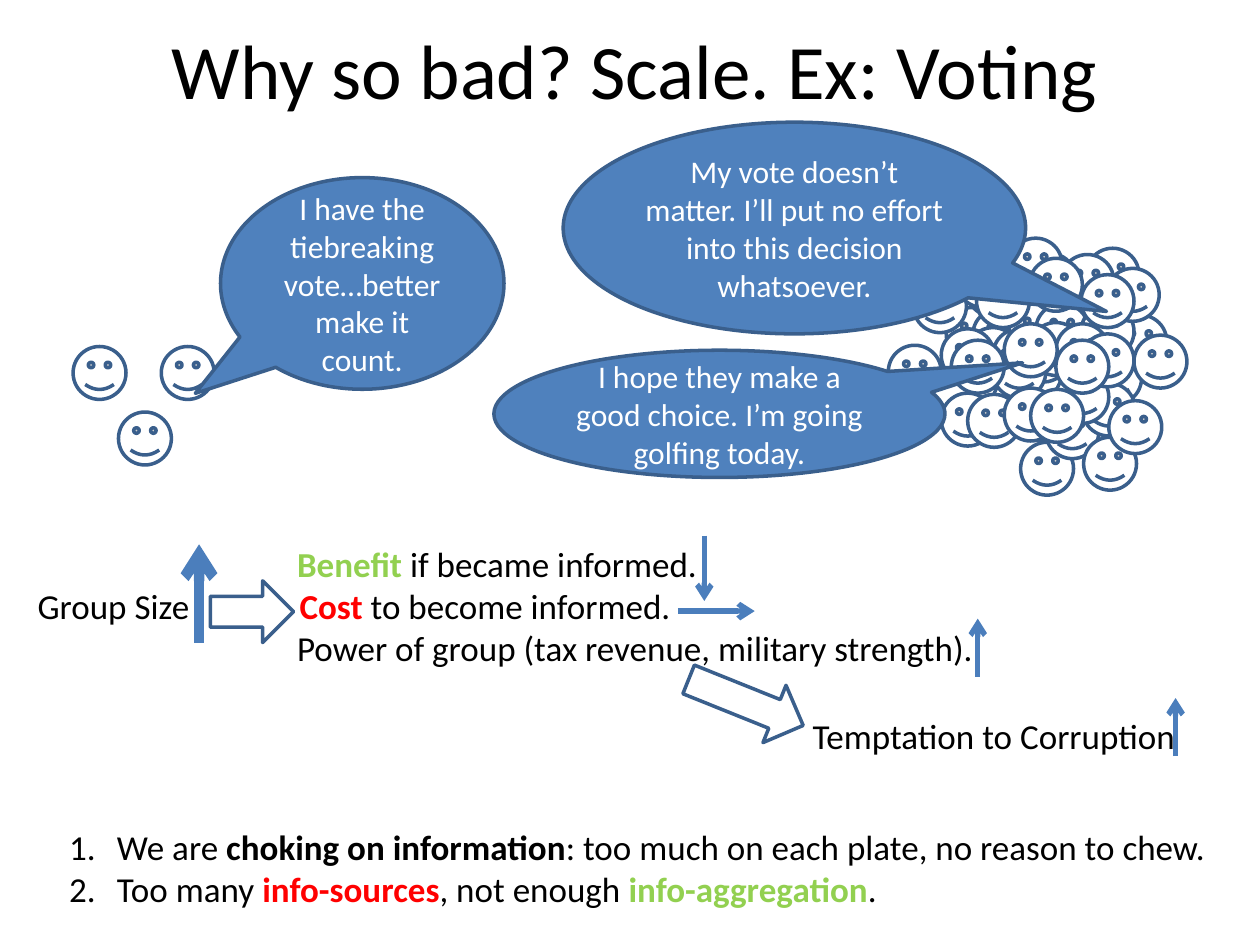
"""Build the slide on group size and voting as out.pptx."""
from dataclasses import dataclass
from typing import NamedTuple

from lxml import etree
from pptx import Presentation
from pptx.dml.color import RGBColor
from pptx.enum.shapes import MSO_CONNECTOR, MSO_SHAPE
from pptx.enum.text import MSO_ANCHOR, MSO_AUTO_SIZE, PP_ALIGN
from pptx.oxml.ns import qn
from pptx.util import Inches, Pt

SMILEY = MSO_SHAPE.SMILEY_FACE
CALLOUT = MSO_SHAPE.OVAL_CALLOUT
BLOCK_ARROW = MSO_SHAPE.RIGHT_ARROW
STRAIGHT = MSO_CONNECTOR.STRAIGHT
MIDDLE = MSO_ANCHOR.MIDDLE
GROW = MSO_AUTO_SIZE.SHAPE_TO_FIT_TEXT
CENTER, LEFT = PP_ALIGN.CENTER, PP_ALIGN.LEFT


@dataclass(frozen=True)
class Theme:
    font: str = "Calibri"
    ink: str = "000000"
    paper: str = "FFFFFF"
    bubble: str = "4F81BD"
    outline: str = "3A5F8C"
    trend: str = "4B7EBC"
    good: str = "92D050"
    bad: str = "FF0000"
    title_size: int = 44
    body_size: int = 20
    bubble_size: int = 18
    outline_width: int = 2


THEME = Theme()


class Box(NamedTuple):
    left: float
    top: float
    width: float
    height: float


class Words(NamedTuple):
    text: str
    color: str = THEME.ink
    bold: bool = False


class Line(NamedTuple):
    words: list[Words]
    indent: float = 0
    numbered: bool = False


class Bubble(NamedTuple):
    box: Box
    tip: tuple[float, float]
    speech: str


class Trend(NamedTuple):
    start: tuple[float, float]
    end: tuple[float, float]
    width: int = 3


FACE_SIZE = 0.42
SMALL_GROUP = [(0.58, 2.75), (0.94, 3.27), (1.28, 2.75)]
CROWD_START = (7.51, 1.93)
CROWD_HALVES = [(0, 0), (0.5, -0.04)]
CLUSTERS = [(0, 0), (0.16, 0.16), (-0.04, 0.68)]
CLUSTER_FACES = [(0, 0), (0.41, 0.37), (0.61, 0.08), (-0.42, 0.13), (0, 0.51),
                 (0.41, 0.13), (0.21, 0.52), (0.63, 0.9), (0.83, 0.61)]
STRAY_CLUSTER, STRAY_FACE, STRAY_OFFSET = 1, 7, (0.42, 0.99)

SMALL_BUBBLE = Bubble(Box(1.75, 1.41, 2.25, 1.68), (-0.589, 0.519),
                      "I have the tiebreaking vote…better make it count.")
CROWD_BUBBLES = [
    Bubble(Box(4.47, 0.97, 3.67, 1.68), (0.675, 0.394),
           "My vote doesn’t matter. I’ll put no effort into this decision whatsoever."),
    Bubble(Box(3.92, 2.78, 3.58, 1.01), (0.672, -0.401),
           "I hope they make a good choice. I’m going golfing today."),
]

CONCLUSIONS = [
    Line([Words("We are "), Words("choking on information", bold=True),
          Words(": too much on each plate, no reason to chew.")], 0.38, True),
    Line([Words("Too many "), Words("info-sources", THEME.bad, True),
          Words(", not enough "), Words("info-aggregation", THEME.good, True),
          Words(".")], 0.38, True),
]
CAUSE = [Line([Words("Group Size")])]
EFFECTS = [
    Line([Words("Benefit", THEME.good, True), Words(" if became informed.")]),
    Line([Words("Cost", THEME.bad, True), Words(" to become informed.")], 0.02),
    Line([Words("Power of group (tax revenue, military strength).")]),
]
TEMPTATION = [Line([Words("Temptation to Corruption")])]

TRENDS = [
    Trend((1.58, 5.1), (1.58, 4.32), 6),
    Trend((5.59, 4.25), (5.59, 4.77)),
    Trend((5.38, 4.85), (5.99, 4.85)),
    Trend((7.76, 5.37), (7.76, 4.91)),
    Trend((9.33, 6), (9.33, 5.54)),
]


def add_words(paragraph, words: Words, size: int) -> None:
    """Add one formatted run."""
    run = paragraph.add_run()
    run.text = words.text
    run.font.name = THEME.font
    run.font.size = Pt(size)
    run.font.bold = words.bold
    run.font.color.rgb = RGBColor.from_string(words.color)


def add_outlined(slide, preset, box: Box, fill: str | None):
    """Add a preset shape with the common outline."""
    shape = slide.shapes.add_shape(preset, *map(Inches, box))
    shape.shadow.inherit = False
    if fill:
        shape.fill.solid()
        shape.fill.fore_color.rgb = RGBColor.from_string(fill)
    else:
        shape.fill.background()
    shape.line.color.rgb = RGBColor.from_string(THEME.outline)
    shape.line.width = Pt(THEME.outline_width)
    return shape


def add_face(slide, left: float, top: float) -> None:
    """Add one voter."""
    add_outlined(slide, SMILEY, Box(left, top, FACE_SIZE, FACE_SIZE), THEME.paper)


def add_crowd(slide) -> None:
    """Add the large group as repeated clusters of voters."""
    for half_x, half_y in CROWD_HALVES:
        for cluster, (shift_x, shift_y) in enumerate(CLUSTERS):
            for face, offset in enumerate(CLUSTER_FACES):
                if (cluster, face) == (STRAY_CLUSTER, STRAY_FACE):
                    offset = STRAY_OFFSET
                add_face(slide, CROWD_START[0] + half_x + shift_x + offset[0],
                         CROWD_START[1] + half_y + shift_y + offset[1])


def add_bubble(slide, bubble: Bubble) -> None:
    """Add a speech bubble pointing at its speaker."""
    shape = add_outlined(slide, CALLOUT, bubble.box, THEME.bubble)
    shape.adjustments[0], shape.adjustments[1] = bubble.tip
    frame = shape.text_frame
    frame.word_wrap = True
    frame.vertical_anchor = MIDDLE
    frame.paragraphs[0].alignment = CENTER
    add_words(frame.paragraphs[0], Words(bubble.speech, THEME.paper), THEME.bubble_size)


def add_lines(slide, box: Box, lines: list[Line]) -> None:
    """Add a text box holding plain, indented or numbered lines."""
    frame = slide.shapes.add_textbox(*map(Inches, box)).text_frame
    frame.word_wrap = True
    frame.auto_size = GROW
    for index, line in enumerate(lines):
        paragraph = frame.add_paragraph() if index else frame.paragraphs[0]
        paragraph.alignment = LEFT
        properties = paragraph._p.get_or_add_pPr()
        properties.set("marL", str(Inches(line.indent)))
        properties.set("indent", str(Inches(-line.indent if line.numbered else 0)))
        if line.numbered:
            etree.SubElement(properties, qn("a:buFont"), typeface="+mj-lt")
            etree.SubElement(properties, qn("a:buAutoNum"), type="arabicPeriod")
        for words in line.words:
            add_words(paragraph, words, THEME.body_size)


def add_trend(slide, trend: Trend) -> None:
    """Add an arrow showing the direction of change."""
    arrow = slide.shapes.add_connector(STRAIGHT, *map(Inches, trend.start + trend.end))
    arrow.line.color.rgb = RGBColor.from_string(THEME.trend)
    arrow.line.width = Pt(trend.width)
    etree.SubElement(arrow.line._get_or_add_ln(), qn("a:tailEnd"), type="arrow")
    etree.SubElement(arrow._element.spPr, qn("a:effectLst"))


def add_title(slide, box: Box, text: str) -> None:
    """Place and fill the title placeholder."""
    title = slide.shapes.title
    title.left, title.top, title.width, title.height = map(Inches, box)
    title.text_frame.vertical_anchor = MIDDLE
    title.text_frame.paragraphs[0].alignment = CENTER
    add_words(title.text_frame.paragraphs[0], Words(text), THEME.title_size)


def main() -> None:
    """Build and save the slide."""
    deck = Presentation()
    deck.slide_width, deck.slide_height = Inches(10), Inches(7.5)
    slide = deck.slides.add_slide(deck.slide_layouts[5])
    add_title(slide, Box(0.33, -0.08, 9.42, 1.25), "Why so bad? Scale. Ex: Voting")
    for left, top in SMALL_GROUP:
        add_face(slide, left, top)
    add_bubble(slide, SMALL_BUBBLE)
    add_crowd(slide)
    for bubble in CROWD_BUBBLES:
        add_bubble(slide, bubble)
    add_lines(slide, Box(0.45, 6.5, 9.39, 0.77), CONCLUSIONS)
    add_lines(slide, Box(0.2, 4.59, 1.45, 0.44), CAUSE)
    add_lines(slide, Box(2.26, 4.26, 6.74, 1.11), EFFECTS)
    add_lines(slide, Box(6.35, 5.62, 3.09, 0.44), TEMPTATION)
    for trend in TRENDS:
        add_trend(slide, trend)
    add_outlined(slide, BLOCK_ARROW, Box(1.67, 4.61, 0.66, 0.49), None)
    add_outlined(slide, BLOCK_ARROW, Box(5.43, 5.33, 0.98, 0.49), None).rotation = 21.9
    deck.save("out.pptx")


if __name__ == "__main__":
    main()
